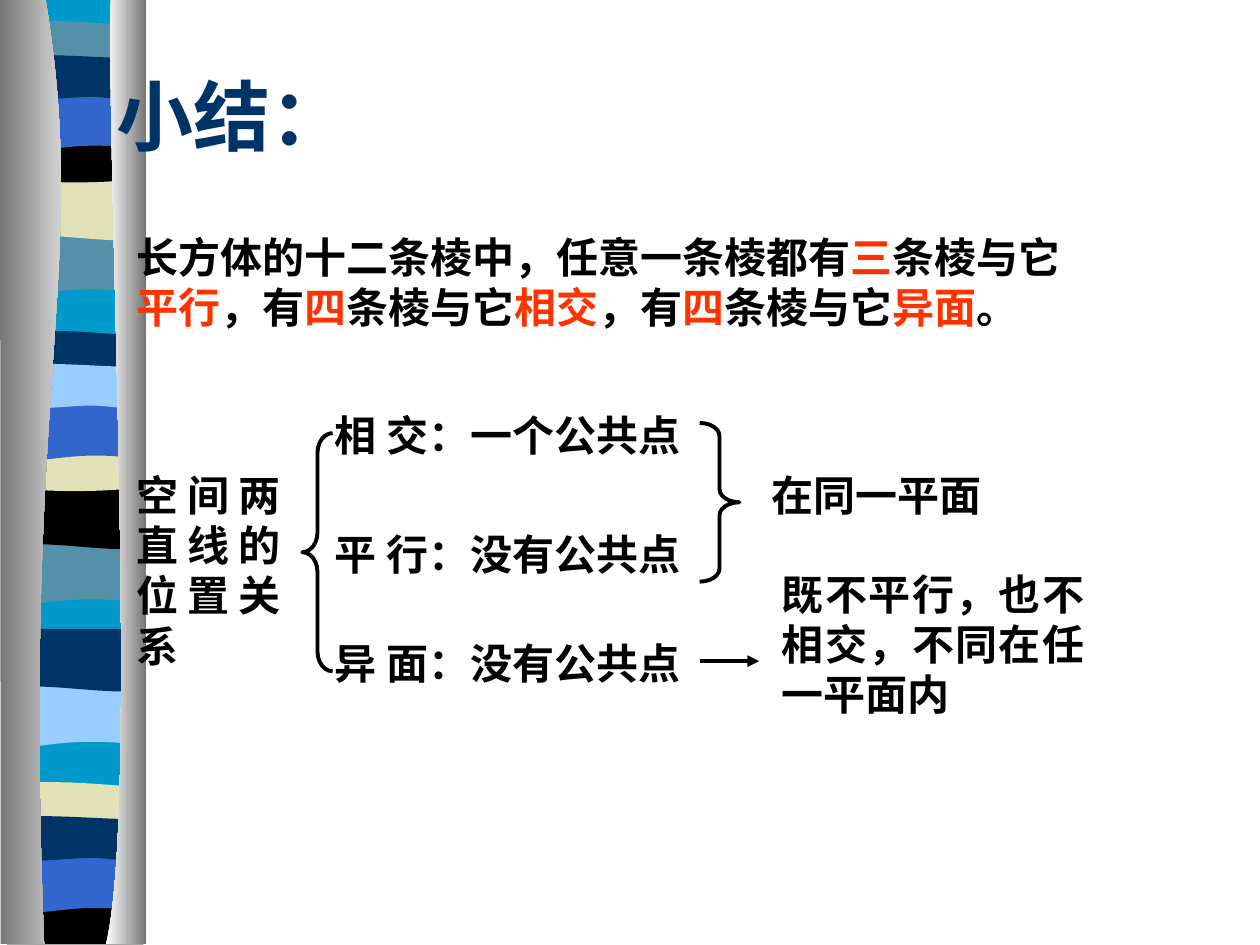
from lxml import etree
from pptx import Presentation
from pptx.dml.color import RGBColor
from pptx.enum.shapes import MSO_CONNECTOR, MSO_SHAPE
from pptx.enum.text import MSO_ANCHOR, PP_ALIGN
from pptx.oxml.ns import qn
from pptx.util import Pt

FONT = "Times New Roman"
NAVY = RGBColor(0x00, 0x33, 0x66)
BLUE = RGBColor(0x33, 0x66, 0xCC)
CYAN = RGBColor(0x00, 0x99, 0xCC)
TEAL = RGBColor(0x54, 0x90, 0xA8)
SKY = RGBColor(0x99, 0xCC, 0xFF)
CREAM = RGBColor(0xE1, 0xE1, 0xB7)
BLACK = RGBColor(0x00, 0x00, 0x00)
RED = RGBColor(0xFF, 0x33, 0x00)
GREY = RGBColor(0x76, 0x76, 0x76)
WHITE = RGBColor(0xFF, 0xFF, 0xFF)

# Outlines: a pair is a corner, a triple of pairs is a Bezier segment.
LEFT, RIGHT = 4, 82
RIBBON = [(RIGHT, -0.7), (RIGHT, 538), (LEFT, 538), (LEFT, -0.7)]
BANDS = {
    "sag": [(LEFT, 0), (RIGHT, 0), (RIGHT, 34),
            ((28, 28), (17, 39.6), (LEFT, 34))],
    "swell": [(LEFT, 0), (RIGHT, 0), (RIGHT, 34),
              ((69, 39.6), (28, 30), (LEFT, 34))],
    "ripple": [(RIGHT, 0), (RIGHT, 17.3), ((69, 20), (17, 20), (LEFT, 17.3)),
               (LEFT, 0), ((9, -3.6), (21, -3), (34, -3)),
               ((47, -3), (72, -0.7), (RIGHT, 0))],
    "cup": [(RIGHT, 0), (RIGHT, 23.4), ((69, 27.4), (17, 27.4), (LEFT, 23.4)),
            (LEFT, 0), ((52, 3.6), (66, 0), (RIGHT, 0))],
    "arch": [(LEFT, 0), (RIGHT, 0), (RIGHT, 34), ((70, 30), (65, 30), (52, 30)),
             ((39, 30), (16, 34), (LEFT, 34))],
    "flag": [(RIGHT, 0), (RIGHT, 22.3), ((77, 26), (65, 22.3), (52, 22.3)),
             ((39, 22.3), (12, 26), (LEFT, 22.3)), (LEFT, 0),
             ((15, -3.6), (57, 0), (70, 0)), ((83, 0), (79, 0), (RIGHT, 0))],
    "base": [(RIGHT, 0), (RIGHT, 27), (LEFT, 27), (LEFT, 0),
             ((52, 3.6), (66, 0), (RIGHT, 0))],
}
# Back to front: outline, top, colour
STRIPES = [
    ("sag", 133.2, TEAL), ("swell", 101.5, CREAM), ("ripple", 15.1, TEAL),
    ("cup", 77.8, BLACK), ("arch", 53.3, BLUE), ("flag", 33.1, NAVY),
    ("sag", 310.3, TEAL), ("swell", 277.9, BLACK), ("ripple", 192.2, NAVY),
    ("cup", 254.2, CREAM), ("arch", 230.4, BLUE), ("flag", 209.5, SKY),
    ("sag", 391.7, SKY), ("swell", 359.3, NAVY), ("ripple", 450, CREAM),
    ("base", 512.6, BLACK), ("arch", 488.9, BLUE), ("flag", 468, NAVY),
]
# Outline, colour at left, colour at right
COLUMNS = [
    ([(26, -0.5), ((51.5, 155.5), (12.2, 213), (25.2, 539.5)), (0.4, 539.5),
      (0, -0.5)], GREY, WHITE),
    ([(63.4, -0.5), ((60.5, 90), (79.9, 465), (60.5, 539.5)), (83.5, 539.5),
      (83.5, 0)], WHITE, GREY),
]

TITLE = ("小结：", (59.4, 20.5, 357, 90))
SUMMARY_BOX = (71, 128.5, 550, 65)
SUMMARY = [
    ("长方体的十二条棱中，任意一条棱都有", BLACK), ("三", RED), ("条棱与它", BLACK),
    ("平行", RED), ("，有", BLACK), ("四", RED), ("条棱与它", BLACK), ("相交", RED),
    ("，有", BLACK), ("四", RED), ("条棱与它", BLACK), ("异面", RED), ("。", BLACK),
]
LABELS = [
    ("空间两直线的位置关系", (71, 264.5, 96.4, 96.4)),
    ("相 交：一个公共点", (184.3, 230.4, 221, 45.4)),
    ("平 行：没有公共点", (184.3, 298.5, 215.3, 33.8)),
    ("异 面：没有公共点", (184.3, 360.7, 215.3, 39.6)),
    ("在同一平面", (433.8, 264.5, 147.6, 33.8)),
    ("既不平行，也不相交，不同在任一平面内", (439.6, 321.1, 187.2, 96.4)),
]
BRACES = [
    (MSO_SHAPE.LEFT_BRACE, (172.8, 247.5, 17.3, 136.1), 0.65),
    (MSO_SHAPE.RIGHT_BRACE, (399.8, 241.7, 22.7, 90.7), 0.33),
]
ARROW = (399.8, 377.8, 433.8, 377.8)


def add_outline(s, outline, top=0):
    """Draw a closed freeform, its Bezier segments kept as true curves."""
    points = []
    for part in outline:
        points += [part] if len(part) == 2 else part
    points = [(Pt(x), Pt(y + top)) for x, y in points]
    builder = s.shapes.build_freeform(*points[0], scale=1.0)
    builder.add_line_segments(points[1:], close=True)
    sp = builder.convert_to_shape()
    lines = iter(list(sp._element.iter(qn("a:lnTo"))))
    for part in outline[1:]:
        line = next(lines)
        if len(part) == 3:
            curve = etree.Element(qn("a:cubicBezTo"))
            line.addprevious(curve)
            for node in (line, next(lines), next(lines)):
                curve.append(node[0])
                node.getparent().remove(node)
    sp.shadow.inherit = False
    sp.line.fill.background()
    return sp


def add_text(s, runs, box, size=24, align=PP_ALIGN.LEFT, anchor=MSO_ANCHOR.TOP):
    tf = s.shapes.add_textbox(*map(Pt, box)).text_frame
    tf.word_wrap = True
    tf.vertical_anchor = anchor
    p = tf.paragraphs[0]
    p.alignment = align
    for text, color in runs:
        r = p.add_run()
        r.text = text
        r.font.name = FONT
        r.font.size = Pt(size)
        r.font.bold = True
        r.font.color.rgb = color


prs = Presentation()
prs.slide_width, prs.slide_height = Pt(720), Pt(540)
s = prs.slides.add_slide(prs.slide_layouts[6])

stripes = [(RIBBON, 0, CYAN)]
stripes += [(BANDS[kind], top, color) for kind, top, color in STRIPES]
for outline, top, color in stripes:
    sp = add_outline(s, outline, top)
    sp.fill.solid()
    sp.fill.fore_color.rgb = color

for outline, *colors in COLUMNS:
    fill = add_outline(s, outline).fill
    fill.gradient()
    fill.gradient_angle = 0
    for stop, color in zip(fill.gradient_stops, colors):
        stop.color.rgb = color

add_text(s, [(TITLE[0], NAVY)], TITLE[1], size=44, anchor=MSO_ANCHOR.MIDDLE)
add_text(s, SUMMARY, SUMMARY_BOX)
for text, box in LABELS:
    add_text(s, [(text, BLACK)], box, align=PP_ALIGN.JUSTIFY)

for kind, box, curl in BRACES:
    brace = s.shapes.add_shape(kind, *map(Pt, box))
    brace.shadow.inherit = False
    brace.adjustments[0] = curl
    brace.fill.background()
    brace.line.color.rgb = BLACK
    brace.line.width = Pt(2.25)

arrow = s.shapes.add_connector(MSO_CONNECTOR.STRAIGHT, *map(Pt, ARROW))
arrow.line.color.rgb = BLACK
arrow.line.width = Pt(2.25)
etree.SubElement(arrow.line._get_or_add_ln(), qn("a:tailEnd"), type="triangle")
etree.SubElement(arrow._element.spPr, qn("a:effectLst"))

prs.save("out.pptx")
